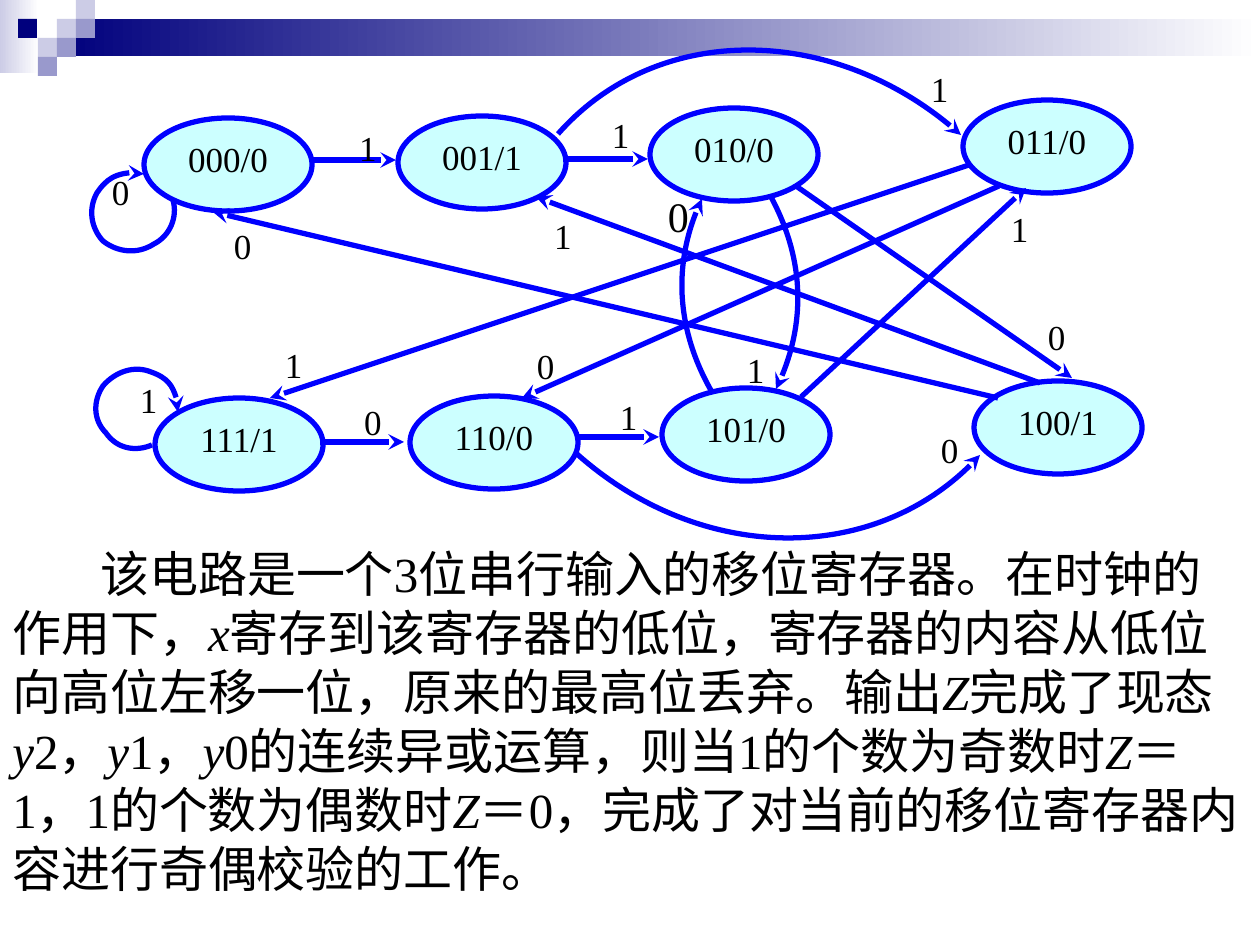
from itertools import cycle
from lxml.etree import SubElement
from pptx import Presentation
from pptx.dml.color import RGBColor
from pptx.enum.shapes import MSO_CONNECTOR, MSO_SHAPE
from pptx.enum.text import MSO_ANCHOR, PP_ALIGN
from pptx.oxml.ns import qn
from pptx.util import Pt

SCALE = 914400 / 126
FONT = "Times New Roman"
COLORS = {
    "ink": "000000", "white": "FFFFFF", "edge": "0000FF", "node": "CCFFFF",
    "navy": "00007D", "pale": "CCCCE6", "mid": "9999CC",
}

BANDS = [(0, 0, 39, 73, "pale"), (57, 19, 1203, 37, "navy")]
TILES = [
    (57, 19, "pale"), (76, 0, "pale"), (76, 19, "mid"), (38, 38, "pale"),
    (18, 19, "navy"), (57, 38, "mid"), (38, 57, "mid"),
]
NODES = [
    ("000/0", 144, 118), ("001/1", 398, 116), ("010/0", 650, 108), ("011/0", 963, 100),
    ("111/1", 155, 398), ("110/0", 410, 396), ("101/0", 662, 388), ("100/1", 974, 381),
]
EDGES = [
    (311, 160, 396, 160), (563, 159, 648, 159),
    (320, 442, 404, 442), (575, 437, 659, 437),
    (969, 165, 270, 398), (999, 186, 522, 398), (801, 397, 1026, 188),
    (998, 398, 213, 212), (1040, 383, 536, 197), (796, 186, 1072, 378),
]
ARCS = [
    [(558, 134), (656, 23), (838, 24), (961, 135)],
    [(577, 454), (701, 564), (882, 564), (980, 455)],
    [(712, 392), (677, 331), (673, 258), (702, 199)],
    [(770, 195), (804, 257), (806, 329), (776, 389)],
    [(152, 445), (136, 452), (117, 449), (106, 433), (93, 420), (93, 401), (103, 386),
     (115, 372), (134, 365), (151, 372), (168, 378), (179, 394), (178, 412)],
    [(173, 200), (178, 217), (170, 236), (154, 244), (137, 255), (117, 252), (103, 241),
     (91, 228), (88, 209), (97, 193), (107, 178), (126, 169), (144, 174)],
]
TIGHT = [
    ("1", 612, 116), ("1", 359, 129), ("1", 1011, 210), ("1", 620, 398), ("1", 554, 217),
    ("0", 1048, 318), ("0", 537, 347), ("0", 364, 403), ("0", 234, 227),
]
LOOSE = [
    ("0", 112, 170, 20), ("1", 140, 378, 20), ("0", 941, 428, 20), ("0", 668, 190, 24),
    ("1", 747, 348, 20), ("1", 931, 67, 20), ("1", 285, 343, 20),
]
BODY = [
    "该电路是一个3位串行输入的移位寄存器。在时钟的作用下，", "x",
    "寄存到该寄存器的低位，寄存器的内容从低位向高位左移一位，原来的最高位丢弃。输出", "Z",
    "完成了现态", "y", "2，", "y", "1，", "y", "0的连续异或运算，则当1的个数为奇数时", "Z",
    "＝1，1的个数为偶数时", "Z", "＝0，完成了对当前的移位寄存器内容进行奇偶校验的工作。",
]


def px(n):
    return round(n * SCALE)


def color(name):
    return RGBColor.from_string(COLORS[name])


def write(shape, runs, size=20, align=PP_ALIGN.LEFT, anchor=MSO_ANCHOR.TOP,
          space=None, inset=None, indent=0):
    frame = shape.text_frame
    frame.word_wrap = True
    frame.vertical_anchor = anchor
    if inset is not None:
        frame.margin_left = frame.margin_right = px(inset)
        frame.margin_top = frame.margin_bottom = px(inset)
    para = frame.paragraphs[0]
    para.alignment = align
    if space:
        para.line_spacing = space
    if indent:
        para._p.get_or_add_pPr().set("indent", str(px(indent)))
    for text, slant in zip(runs, cycle([False, True])):
        run = para.add_run()
        run.text = text
        font = run.font
        font.name, font.size, font.italic = FONT, Pt(size), slant
        font.color.rgb = color("ink")


def add_shape(slide, kind, x, y, w, h, fill):
    shape = slide.shapes.add_shape(kind, px(x), px(y), px(w), px(h))
    shape.shadow.inherit = False
    shape.fill.solid()
    shape.fill.fore_color.rgb = color(fill)
    shape.line.fill.background()
    return shape


def add_band(slide, x, y, w, h, tint):
    band = add_shape(slide, MSO_SHAPE.RECTANGLE, x, y, w, h, tint)
    band.fill.gradient()
    band.fill.gradient_angle = 180
    for stop, name, place in zip(band.fill.gradient_stops, ("white", tint), (0, 1)):
        stop.color.rgb = color(name)
        stop.position = place


def draw_line(line):
    line.color.rgb = color("edge")
    line.width = Pt(3)


def add_head(shape):
    draw_line(shape.line)
    SubElement(shape.line._get_or_add_ln(), qn("a:tailEnd"), type="stealth")


def add_node(slide, text, x, y):
    node = add_shape(slide, MSO_SHAPE.OVAL, x, y, 168, 93, "node")
    draw_line(node.line)
    write(node, [text], align=PP_ALIGN.CENTER)


def add_edge(slide, *ends):
    edge = slide.shapes.add_connector(MSO_CONNECTOR.STRAIGHT, *map(px, ends))
    add_head(edge)
    SubElement(edge._element.spPr, qn("a:effectLst"))


def add_arc(slide, points):
    start, *rest = [(px(x), px(y)) for x, y in points]
    pen = slide.shapes.build_freeform(*start)
    pen.add_line_segments(rest, close=False)
    arc = pen.convert_to_shape()
    arc.shadow.inherit = False
    arc.fill.background()
    add_head(arc)
    track = arc._element.spPr.find(".//" + qn("a:path"))
    for i, step in enumerate(track.findall(qn("a:lnTo"))):
        if i % 3 == 0:
            curve = SubElement(track, qn("a:cubicBezTo"))
        curve.append(step[0])
        track.remove(step)


def add_text(slide, x, y, w, h, runs, **style):
    box = slide.shapes.add_textbox(px(x), px(y), px(w), px(h))
    write(box, runs, **style)


def main():
    deck = Presentation()
    deck.slide_width, deck.slide_height = px(1260), px(945)
    slide = deck.slides.add_slide(deck.slide_layouts[6])
    for band in BANDS:
        add_band(slide, *band)
    for x, y, tint in TILES:
        add_shape(slide, MSO_SHAPE.RECTANGLE, x, y, 19, 19, tint)
    for node in NODES:
        add_node(slide, *node)
    for edge in EDGES:
        add_edge(slide, *edge)
    for arc in ARCS:
        add_arc(slide, arc)
    for text, x, y in TIGHT:
        add_text(slide, x, y, 19, 38, [text], align=PP_ALIGN.JUSTIFY, space=0.96, inset=0)
    for text, x, y, size in LOOSE:
        add_text(slide, x, y, 26, 44, [text], size=size, align=PP_ALIGN.JUSTIFY, inset=0)
    add_text(slide, 0, 538, 1260, 365, BODY, size=28, anchor=MSO_ANCHOR.MIDDLE, indent=88)
    deck.save("out.pptx")


if __name__ == "__main__":
    main()
